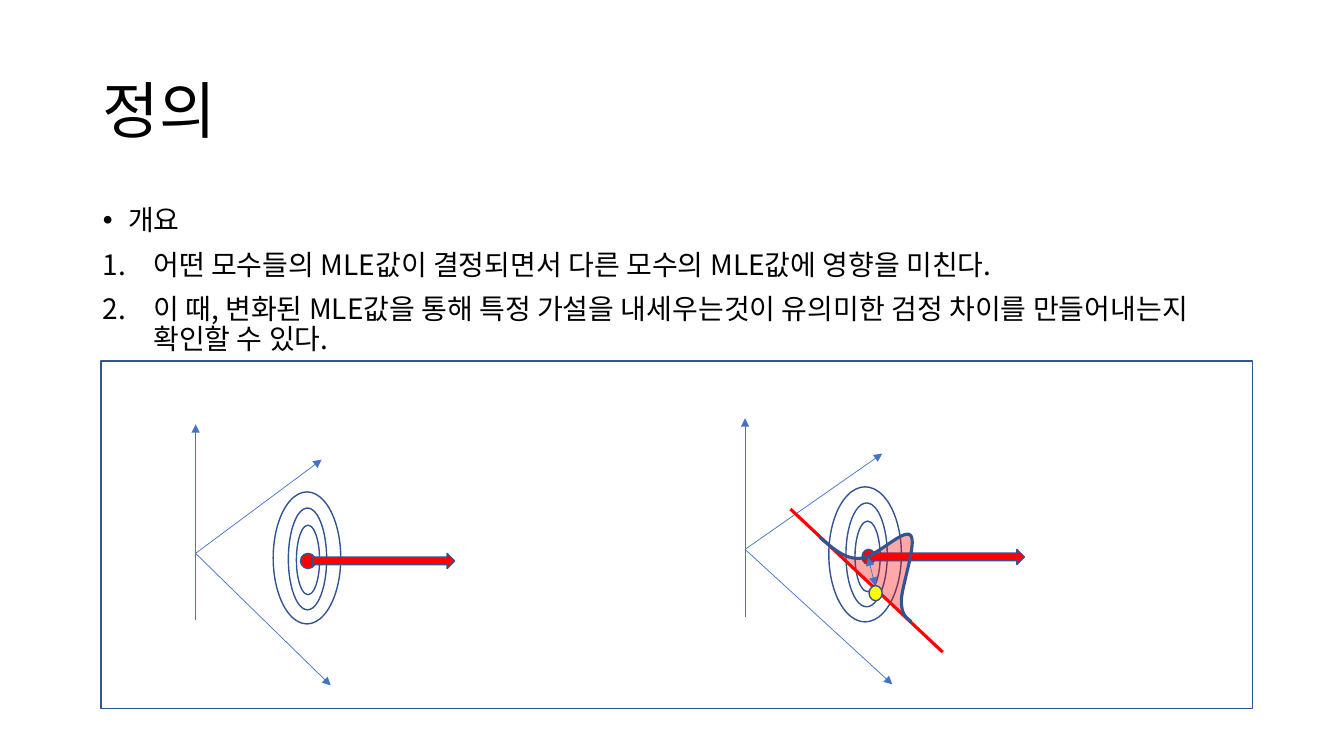
from dataclasses import dataclass

from lxml import etree
from pptx import Presentation
from pptx.dml.color import RGBColor
from pptx.enum.shapes import MSO_CONNECTOR, MSO_SHAPE
from pptx.enum.text import MSO_ANCHOR, MSO_AUTO_SIZE, PP_ALIGN
from pptx.oxml.ns import qn
from pptx.util import Pt

PX = 9144  # EMU in one px, 100 px to the inch
ELLIPSE, ARROW, RECTANGLE = MSO_SHAPE.OVAL, MSO_SHAPE.RIGHT_ARROW, MSO_SHAPE.RECTANGLE
STRAIGHT = MSO_CONNECTOR.STRAIGHT
LEFT = PP_ALIGN.LEFT
TOP, MIDDLE = MSO_ANCHOR.TOP, MSO_ANCHOR.MIDDLE
NO_AUTOFIT = MSO_AUTO_SIZE.NONE


@dataclass(frozen=True)
class Theme:
    font: str = "Noto Sans CJK KR"
    text: str = "000000"
    axis: str = "4472C4"
    outline: str = "325491"
    accent: str = "FF0000"
    shifted: str = "FFFF00"
    title_size: int = 44
    body_size: int = 20
    thin: float = 0.5
    normal: float = 1
    thick: float = 2.25


def rgb(value):
    return RGBColor.from_string(value)


def add_xml(parent, tag, **attributes):
    return etree.SubElement(parent, qn(tag), attributes)


def bezier(start, control_1, control_2, end, steps=16):
    """Points along a cubic curve, without its start."""
    for step in range(1, steps + 1):
        t = step / steps
        u = 1 - t
        weights = (u ** 3, 3 * u * u * t, 3 * u * t * t, t ** 3)
        yield tuple(
            sum(w * value for w, value in zip(weights, axis)) * PX
            for axis in zip(start, control_1, control_2, end)
        )


class SlideBuilder:
    def __init__(self, slide, theme):
        self.slide = slide
        self.theme = theme

    def place(self, placeholder, box, anchor):
        frame = placeholder.text_frame
        for name, value in zip(("left", "top", "width", "height"), box):
            setattr(placeholder, name, value * PX)
        frame_format = {"word_wrap": True, "auto_size": NO_AUTOFIT, "vertical_anchor": anchor}
        for name, value in frame_format.items():
            setattr(frame, name, value)
        return frame

    def fill_paragraph(self, paragraph, text, size, space_before=0):
        paragraph_format = {
            "alignment": LEFT, "line_spacing": 0.9, "space_before": Pt(space_before),
        }
        for name, value in paragraph_format.items():
            setattr(paragraph, name, value)
        run = paragraph.add_run()
        run.text = text
        run.font.color.rgb = rgb(self.theme.text)
        for name, value in {"size": Pt(size), "name": self.theme.font}.items():
            setattr(run.font, name, value)
        add_xml(run._r.get_or_add_rPr(), "a:ea", typeface=self.theme.font)

    def title(self, text, box):
        frame = self.place(self.slide.shapes.title, box, MIDDLE)
        self.fill_paragraph(frame.paragraphs[0], text, self.theme.title_size)

    def body(self, heading, steps, box):
        """A bulleted heading followed by numbered steps."""
        frame = self.place(self.slide.placeholders[1], box, TOP)
        for index, text in enumerate([heading, *steps]):
            paragraph = frame.add_paragraph() if index else frame.paragraphs[0]
            self.fill_paragraph(paragraph, text, self.theme.body_size, 10 if index else 0)
            properties = paragraph._p.get_or_add_pPr()
            indent = (50 if index else 25) * PX
            properties.set("marL", str(indent))
            properties.set("indent", str(-indent))
            if index:
                add_xml(properties, "a:buFont", typeface=self.theme.font)
                add_xml(properties, "a:buAutoNum", type="arabicPeriod")
            else:
                add_xml(properties, "a:buFont", typeface="Arial")
                add_xml(properties, "a:buChar", char="•")

    def paint(self, shape, fill, width):
        shape.shadow.inherit = False
        if fill:
            shape.fill.solid()
            shape.fill.fore_color.rgb = rgb(fill)
        else:
            shape.fill.background()
        shape.line.color.rgb = rgb(self.theme.outline)
        shape.line.width = Pt(width)

    def shape(self, kind, box, fill=None):
        shape = self.slide.shapes.add_shape(kind, *(value * PX for value in box))
        self.paint(shape, fill, self.theme.normal)

    def line(self, start, end, color, width, ends=()):
        ends_px = (value * PX for value in (*start, *end))
        line = self.slide.shapes.add_connector(STRAIGHT, *ends_px)
        line.line.color.rgb = rgb(color)
        line.line.width = Pt(width)
        properties = line._element.spPr
        for tag in ends:
            add_xml(properties.find(qn("a:ln")), tag, type="triangle")
        add_xml(properties, "a:effectLst")

    def curve(self, start, segments, fill, opacity):
        points = []
        previous = start
        for segment in segments:
            points += bezier(previous, *segment)
            previous = segment[-1]
        builder = self.slide.shapes.build_freeform(start[0] * PX, start[1] * PX)
        builder.add_line_segments(points, close=False)
        shape = builder.convert_to_shape()
        self.paint(shape, fill, self.theme.thick)
        color = shape._element.spPr.find(qn("a:solidFill"))[0]
        add_xml(color, "a:alpha", val=str(opacity * 1000))

    def likelihood(self, origin, axis_foot, axis_tips, contours, peak, direction):
        """Three axes, contour rings, the MLE point and its direction arrow."""
        theme = self.theme
        starts = ((origin[0], axis_foot), origin, origin)
        for start, tip in zip(starts, axis_tips):
            self.line(start, tip, theme.axis, theme.thin, ("a:tailEnd",))
        for contour in contours:
            self.shape(ELLIPSE, contour)
        self.shape(ELLIPSE, peak, theme.accent)
        self.shape(ARROW, direction, theme.accent)

    def constraint(self):
        """The hypothesis line, its density and the shifted MLE point."""
        theme = self.theme
        self.line((784, 505), (935, 647), theme.accent, theme.thick)
        self.curve((813, 533), [
            ((826, 544), (838, 555), (853, 554)),
            ((868, 554), (896, 524), (903, 531)),
            ((910, 538), (894, 582), (894, 596)),
            ((894, 610), (899, 613), (904, 617)),
        ], theme.accent, 34)
        self.shape(ELLIPSE, (862, 581, 13, 15), theme.shifted)
        self.line((861, 553), (868, 581), theme.axis, theme.thin,
                  ("a:headEnd", "a:tailEnd"))


def main():
    deck = Presentation()
    deck.slide_width, deck.slide_height = 1333 * PX, 750 * PX
    page = SlideBuilder(deck.slides.add_slide(deck.slide_layouts[1]), Theme())
    page.title("정의", (92, 40, 1150, 145))
    page.body("개요", [
        "어떤 모수들의 MLE값이 결정되면서 다른 모수의 MLE값에 영향을 미친다.",
        "이 때, 변화된 MLE값을 통해 특정 가설을 내세우는것이 유의미한 검정 차이를 "
        "만들어내는지 확인할 수 있다.",
    ], (92, 200, 1150, 476))
    page.likelihood(
        origin=(194, 549), axis_foot=615,
        axis_tips=[(194, 421), (328, 680), (319, 456)],
        contours=[(271, 488, 67, 131), (286, 504, 38, 101), (294, 521, 23, 69)],
        peak=(298, 549, 15, 15), direction=(310, 549, 141, 15),
    )
    page.likelihood(
        origin=(739, 545), axis_foot=612,
        axis_tips=[(739, 415), (885, 679), (875, 450)],
        contours=[(822, 483, 72, 134), (839, 499, 41, 103), (848, 517, 25, 70)],
        peak=(855, 545, 13, 15), direction=(864, 545, 152, 15),
    )
    page.constraint()
    page.shape(RECTANGLE, (100, 358, 1142, 345))
    deck.save("out.pptx")


if __name__ == "__main__":
    main()
